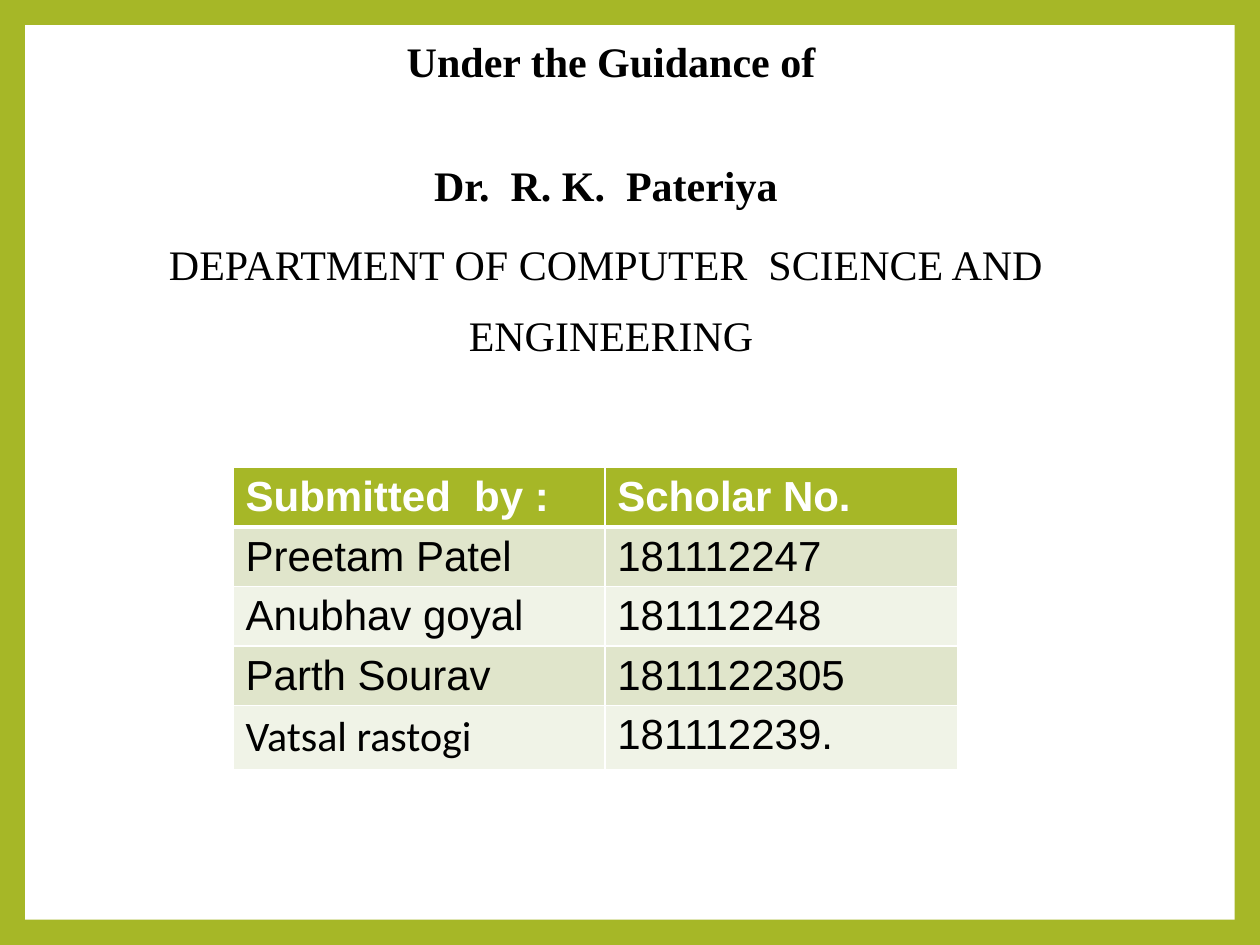
from lxml.etree import SubElement
from pptx import Presentation
from pptx.dml.color import RGBColor
from pptx.enum.shapes import MSO_SHAPE
from pptx.enum.text import PP_ALIGN
from pptx.oxml.ns import qn
from pptx.util import Inches, Pt

COLORS = {
    "green": "A6B727",
    "white": "FFFFFF",
    "black": "000000",
    "band_dark": "E0E5CB",
    "band_light": "F0F3E7",
}

HEADING = [
    ("Under the Guidance of", True, {}),
    ("Dr.  R. K.  Pateriya ", True, {"space_before": Pt(42)}),
    ("DEPARTMENT OF COMPUTER  SCIENCE AND ", False,
     {"space_before": Pt(25), "line_spacing": 0.68}),
    ("ENGINEERING", False, {"space_before": Pt(20.6), "line_spacing": 0.68}),
]

STUDENTS = [
    ("Submitted  by :", "Scholar No."),
    ("Preetam Patel", "181112247"),
    ("Anubhav goyal", "181112248"),
    ("Parth Sourav", "1811122305"),
    ("Vatsal rastogi", "181112239."),
]


class Deck:
    def __init__(self, prs):
        self.s = prs.slides.add_slide(prs.slide_layouts[6])
        self.size = Pt(24)

    def color(self, name):
        return RGBColor.from_string(COLORS[name])

    def fill(self, target, name):
        target.fill.solid()
        target.fill.fore_color.rgb = self.color(name)

    def run(self, p, text, font="Times New Roman", bold=False, color="black"):
        r = p.add_run()
        r.text = text
        for key, value in {"name": font, "size": self.size, "bold": bold}.items():
            setattr(r.font, key, value)
        r.font.color.rgb = self.color(color)

    def panel(self, *box):
        sp = self.s.shapes.add_shape(MSO_SHAPE.RECTANGLE, *map(Inches, box))
        sp.shadow.inherit = False
        self.fill(sp, "white")
        sp.line.fill.background()

    def text(self, paragraphs, *box):
        tf = self.s.shapes.add_textbox(*map(Inches, box)).text_frame
        tf.word_wrap = True
        for i, (text, bold, fmt) in enumerate(paragraphs):
            p = tf.add_paragraph() if i else tf.paragraphs[0]
            for key, value in {"alignment": PP_ALIGN.CENTER, **fmt}.items():
                setattr(p, key, value)
            self.run(p, text, bold=bold)

    def borders(self, cell, widths):
        tcPr = cell._tc.get_or_add_tcPr()
        for side, width in widths.items():
            ln = SubElement(tcPr, qn(f"a:ln{side}"), w=str(Pt(width)))
            SubElement(SubElement(ln, qn("a:solidFill")), qn("a:srgbClr"), val=COLORS["white"])

    def table(self, rows, left, top, widths, row_height):
        box = (left, top, sum(widths), row_height * len(rows))
        tbl = self.s.shapes.add_table(len(rows), len(widths), *map(Inches, box)).table
        for col, width in zip(tbl.columns, widths):
            col.width = Inches(width)
        for i, row in enumerate(rows):
            head = i == 0
            band = "green" if head else "band_dark" if i % 2 else "band_light"
            for j, text in enumerate(row):
                cell = tbl.cell(i, j)
                self.borders(cell, {"L": 1, "R": 1, "T": 3 if i == 1 else 1, "B": 3 if head else 1})
                self.fill(cell, band)
                font = "Calibri" if text == "Vatsal rastogi" else "Arial"
                self.run(cell.text_frame.paragraphs[0], text, font, head, "white" if head else "black")


def main():
    prs = Presentation()
    prs.slide_width, prs.slide_height = Inches(10), Inches(7.5)
    deck = Deck(prs)
    deck.fill(deck.s.background, "green")
    deck.panel(0.2, 0.2, 9.6, 7.1)
    deck.table(STUDENTS, 1.85, 3.71, (2.95, 2.8), 0.46)
    deck.text(HEADING, 0.26, 0.23, 9.18, 2.88)
    prs.save("out.pptx")


if __name__ == "__main__":
    main()
